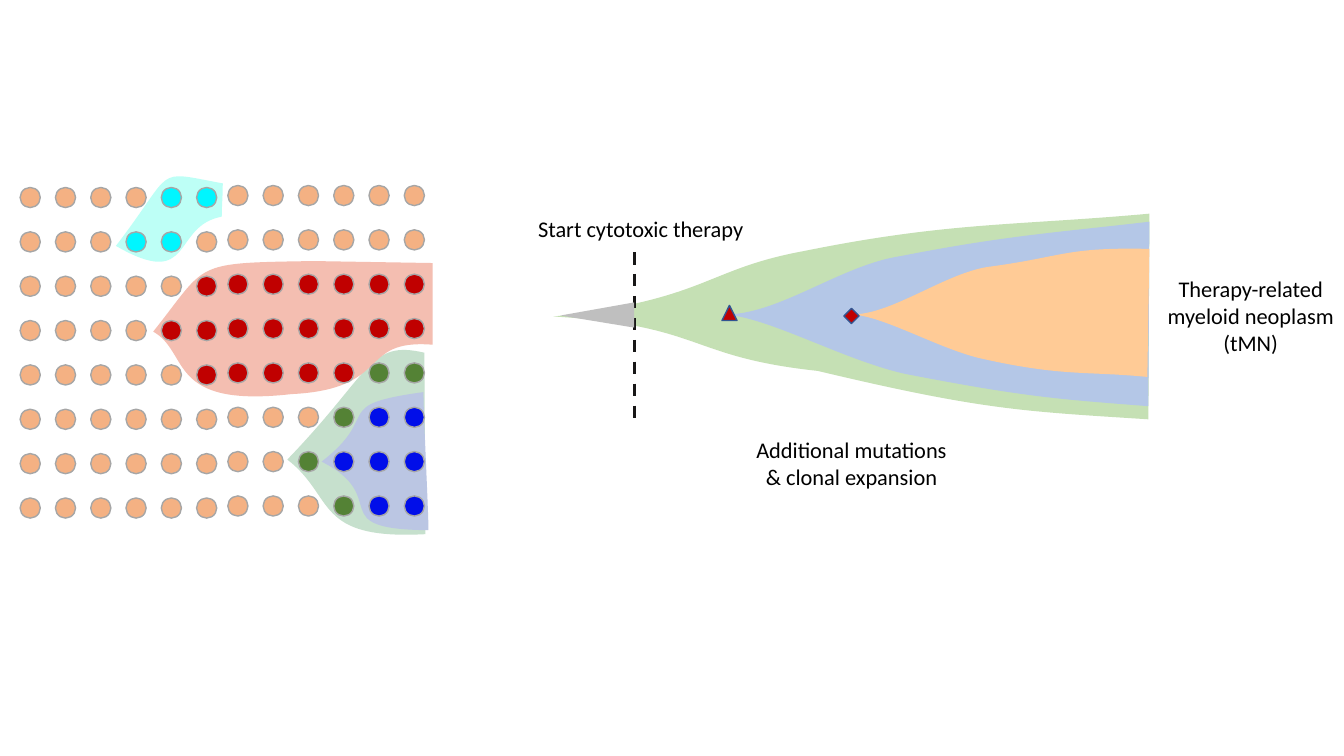
"""Draw clonal evolution: a grid of cells beside a growing therapy-related clone."""
from pptx import Presentation
from pptx.dml.color import RGBColor
from pptx.enum.dml import MSO_LINE
from pptx.enum.shapes import MSO_CONNECTOR, MSO_SHAPE as Shape
from pptx.enum.text import MSO_AUTO_SIZE as AutoSize, PP_ALIGN as Align
from pptx.oxml.ns import qn
from pptx.util import Cm, Pt
from lxml.etree import SubElement

BLACK = RGBColor(0x00, 0x00, 0x00)
DASH = RGBColor(0x18, 0x17, 0x17)
GREY = RGBColor(0xA6, 0xA6, 0xA6)
LIGHT_GREY = RGBColor(0xBF, 0xBF, 0xBF)
NAVY = RGBColor(0x32, 0x54, 0x91)
ORANGE = RGBColor(0xF4, 0xB1, 0x83)
CYAN = RGBColor(0x00, 0xF6, 0xFF)
RED = RGBColor(0xC0, 0x00, 0x00)
GREEN = RGBColor(0x54, 0x82, 0x35)
BLUE = RGBColor(0x01, 0x0E, 0xE9)
PALE_MINT = RGBColor(0xC6, 0xE0, 0xCD)
PALE_VIOLET = RGBColor(0xBB, 0xC6, 0xE3)
PALE_CYAN = RGBColor(0xBD, 0xFF, 0xF6)
PALE_RED = RGBColor(0xF4, 0xBE, 0xB1)
PALE_GREEN = RGBColor(0xC5, 0xE0, 0xB4)
PALE_BLUE = RGBColor(0xB4, 0xC7, 0xE7)
PALE_ORANGE = RGBColor(0xFF, 0xCB, 0x96)

CM_PER_INCH = 2.54
CURVE_STEPS = 20

CLONES = [
    (PALE_MINT, (2.85, 4.56), [(3.69, 3.69, 3.66, 3.37, 4.21, 3.5),
                               (4.21, 3.72, 4.22, 5.12, 4.22, 5.3),
                               (3.11, 5.36, 3.33, 4.93, 2.85, 4.56)]),
    (PALE_VIOLET, (3.19, 4.58), [(3.8, 4.11, 3.26, 4.02, 4.2, 3.89),
                                 (4.2, 4.11, 4.25, 5.08, 4.25, 5.26),
                                 (3.19, 5.25, 3.9, 4.94, 3.19, 4.58)]),
    (PALE_CYAN, (1.15, 2.44), [(1.75, 1.66, 1.51, 1.69, 2.21, 1.82),
                               (2.21, 1.95, 2.2, 2.05, 2.2, 2.15),
                               (1.7, 2.24, 1.93, 2.89, 1.15, 2.44)]),
    (PALE_RED, (1.52, 3.29), [(2.07, 2.6, 1.89, 2.61, 3.11, 2.59),
                              (4.29, 2.61),
                              (4.29, 3.42),
                              (3.54, 3.36, 3.9, 3.86, 2.89, 3.91),
                              (1.65, 4.05, 1.89, 3.5, 1.52, 3.29)]),
    (PALE_GREEN, (5.49, 3.14), [(7.02, 2.97, 6.99, 2.67, 7.98, 2.49),
                                (9.41, 2.2, 10.08, 2.24, 11.4, 2.12),
                                (11.39, 4.16),
                                (10.14, 4.08, 9.75, 4.07, 8.11, 3.68),
                                (6.81, 3.54, 6.99, 3.23, 5.49, 3.14)]),
    (PALE_BLUE, (7.16, 3.12), [(7.71, 3.14, 8.33, 2.63, 8.94, 2.54),
                               (9.96, 2.34, 10.45, 2.31, 11.4, 2.2),
                               (11.39, 4.03),
                               (10.49, 3.96, 10.17, 3.94, 8.98, 3.71),
                               (8.35, 3.57, 7.6, 3.13, 7.16, 3.12)]),
    (PALE_ORANGE, (8.44, 3.12), [(8.83, 3.13, 9.36, 2.72, 9.79, 2.65),
                                 (10.55, 2.55, 10.56, 2.45, 11.4, 2.47),
                                 (11.38, 3.74),
                                 (10.76, 3.68, 10.53, 3.74, 9.7, 3.55),
                                 (9.27, 3.44, 8.75, 3.13, 8.44, 3.12)]),
]
ORIGIN_WEDGE = (LIGHT_GREY, (5.56, 3.13), [(6.29, 3), (6.29, 3.25)])
MUTATIONS = [(Shape.ISOSCELES_TRIANGLE, 7.16, 3.03), (Shape.DIAMOND, 8.37, 3.06)]
MUTATION_SIZE = 0.15
THERAPY_LINE = (6.29, 2.5, 6.29, 4.16)
LABELS = [
    ((7.39, 4.28, 2.11, 0.64), False, ["Additional mutations", "& clonal expansion"]),
    ((5.23, 2.09, 2.25, 0.37), True, ["Start cytotoxic therapy"]),
    ((11.48, 2.68, 1.85, 0.91), True, ["Therapy-related myeloid neoplasm (tMN)"]),
]
LABEL_FONT = {"name": "Calibri", "size": Pt(16)}

CELL_COLOURS = {"o": ORANGE, "c": CYAN, "r": RED, "g": GREEN, "b": BLUE}
CELL_BLOCKS = [
    (0.2, 1.86, ["oooocc", "ooocco", "ooooor", "oooorr",
                 "ooooor", "oooooo", "oooooo", "oooooo"]),
    (2.26, 1.84, ["oooooo", "oooooo", "rrrrrr", "rrrrrr",
                  "rrrrgg", "ooogbb", "oogbbb", "ooogbb"]),
]
CELL_SIZE, COLUMN_STEP, ROW_STEP = 0.2, 0.35, 0.44


def lengths(*inches):
    return [Cm(value * CM_PER_INCH) for value in inches]


def pairs(values):
    return list(zip(values[::2], values[1::2]))


def curve_points(start, segment):
    if len(segment) == 2:
        return [segment]
    corners = [start, *pairs(segment)]
    points = []
    for step in range(1, CURVE_STEPS + 1):
        t = step / CURVE_STEPS
        weights = ((1 - t) ** 3, 3 * t * (1 - t) ** 2, 3 * t ** 2 * (1 - t), t ** 3)
        points.append(tuple(sum(weight * corner[axis] for weight, corner in zip(weights, corners))
                            for axis in (0, 1)))
    return points


def paint(shape, fill, outline=None):
    shape.element.remove(shape.element.find(qn("p:style")))
    shape.shadow.inherit = False
    shape.fill.solid()
    shape.fill.fore_color.rgb = fill
    if outline is None:
        shape.line.fill.background()
    else:
        shape.line.color.rgb = outline
        shape.line.width = Pt(1)


def add_clone(page, fill, start, segments):
    points = [start]
    for segment in segments:
        points += curve_points(points[-1], segment)
    corners = [lengths(*point) for point in points]
    builder = page.shapes.build_freeform(*corners[0])
    builder.add_line_segments(corners[1:], close=True)
    clone = builder.convert_to_shape()
    outline = clone.element.find(".//" + qn("a:path"))
    for child in list(outline):
        outline.remove(child)
    tags = {2: "a:lnTo", 6: "a:cubicBezTo"}
    steps = [("a:moveTo", start)] + [(tags[len(segment)], segment) for segment in segments]
    for tag, values in steps:
        stroke = SubElement(outline, qn(tag))
        for x, y in pairs(lengths(*values)):
            SubElement(stroke, qn("a:pt"), x=str(x - clone.left), y=str(y - clone.top))
    SubElement(outline, qn("a:close"))
    paint(clone, fill)


def add_label(page, place, wraps, lines):
    box = page.shapes.add_textbox(*lengths(*place))
    frame = box.text_frame
    frame.word_wrap = wraps
    frame.auto_size = AutoSize.SHAPE_TO_FIT_TEXT
    for index, line in enumerate(lines):
        para = frame.add_paragraph() if index else frame.paragraphs[0]
        para.alignment = Align.CENTER
        span = para.add_run()
        span.text = line
        span.font.color.rgb = BLACK
        for name, value in LABEL_FONT.items():
            setattr(span.font, name, value)


def add_therapy_line(page):
    line = page.shapes.add_connector(MSO_CONNECTOR.STRAIGHT, *lengths(*THERAPY_LINE))
    line.line.color.rgb = DASH
    for name, value in {"width": Pt(2.25), "dash_style": MSO_LINE.DASH}.items():
        setattr(line.line, name, value)
    SubElement(line.element.spPr, qn("a:effectLst"))


def add_cells(page, left, top, rows):
    for row, codes in enumerate(rows):
        for column, code in enumerate(codes):
            place = lengths(left + column * COLUMN_STEP, top + row * ROW_STEP,
                            CELL_SIZE, CELL_SIZE)
            paint(page.shapes.add_shape(Shape.OVAL, *place), CELL_COLOURS[code], GREY)


def main():
    deck = Presentation()
    deck.slide_width, deck.slide_height = lengths(13.33, 7.5)
    page = deck.slides.add_slide(deck.slide_layouts[6])
    for clone in CLONES:
        add_clone(page, *clone)
    for kind, left, top in MUTATIONS:
        place = lengths(left, top, MUTATION_SIZE, MUTATION_SIZE)
        paint(page.shapes.add_shape(kind, *place), RED, NAVY)
    add_therapy_line(page)
    for label in LABELS:
        add_label(page, *label)
    add_clone(page, *ORIGIN_WEDGE)
    for block in CELL_BLOCKS:
        add_cells(page, *block)
    deck.save("out.pptx")


if __name__ == "__main__":
    main()
